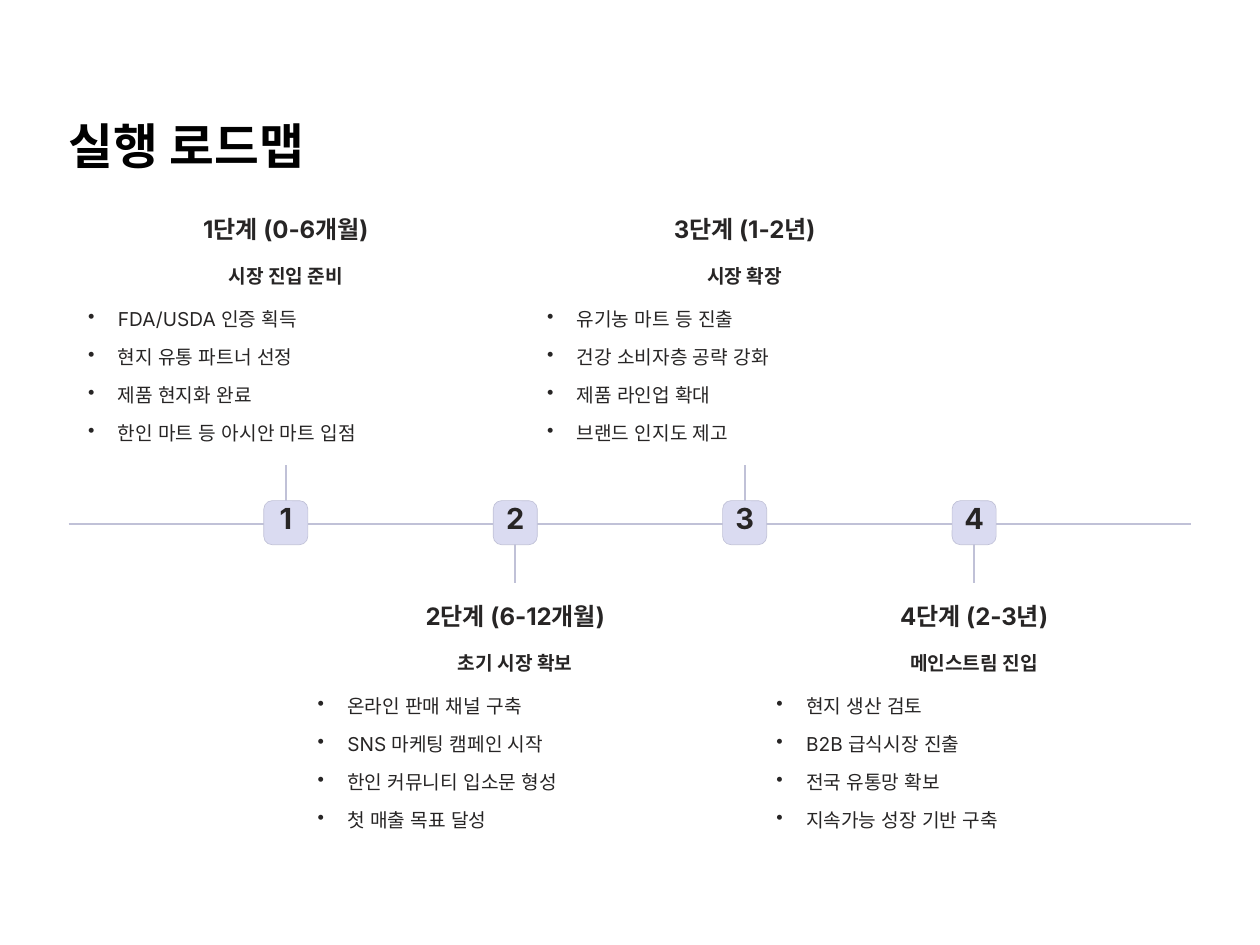
import pptx
import pptx.dml.color
import pptx.enum.shapes
import pptx.enum.text
import pptx.oxml
import pptx.oxml.ns
import pptx.util

Cm = pptx.util.Cm
Pt = pptx.util.Pt
ALIGN = pptx.enum.text.PP_ALIGN

COLORS = {
    "background": "FFFFFF",
    "title": "000000",
    "text": "272525",
    "line": "C0C1D7",
    "badge": "DADBF1",
}

STAGES = [
    ("1단계 (0-6개월)", "시장 진입 준비",
     ["FDA/USDA 인증 획득", "현지 유통 파트너 선정", "제품 현지화 완료",
      "한인 마트 등 아시안 마트 입점"]),
    ("2단계 (6-12개월)", "초기 시장 확보",
     ["온라인 판매 채널 구축", "SNS 마케팅 캠페인 시작", "한인 커뮤니티 입소문 형성",
      "첫 매출 목표 달성"]),
    ("3단계 (1-2년)", "시장 확장",
     ["유기농 마트 등 진출", "건강 소비자층 공략 강화", "제품 라인업 확대",
      "브랜드 인지도 제고"]),
    ("4단계 (2-3년)", "메인스트림 진입",
     ["현지 생산 검토", "B2B 급식시장 진출", "전국 유통망 확보",
      "지속가능 성장 기반 구축"]),
]

# All lengths in centimetres
AXIS_LEFT, AXIS_RIGHT, AXIS_Y = 2.21, 38.43, 16.9
FIRST_CENTER, STAGE_STEP = 9.22, 7.4
STEM_LENGTH = 1.9
BADGE_SIZE, BADGE_TOP = 1.42, 16.15
TEXT_WIDTH = 12.75
UPPER_TOP, LOWER_TOP = 6.88, 19.37
THEME_OFFSET, TASKS_OFFSET = 1.38, 2.77


class RoadmapSlide:
    font = "Inter"

    def __init__(self, presentation):
        self.slide = presentation.slides.add_slide(presentation.slide_layouts[5])
        background = self.slide.background.fill
        background.solid()
        background.fore_color.rgb = self.color("background")

    def color(self, name):
        return pptx.dml.color.RGBColor.from_string(COLORS[name])

    def fill_text(self, frame, lines, size, spacing, color="text", bold=True,
                  align=ALIGN.CENTER, inset_top=0):
        """Fill a text frame with one paragraph per line, in a single style."""
        frame.word_wrap = True
        frame.auto_size = pptx.enum.text.MSO_AUTO_SIZE.NONE
        frame.vertical_anchor = pptx.enum.text.MSO_ANCHOR.TOP
        frame.margin_left = frame.margin_right = frame.margin_bottom = 0
        frame.margin_top = Cm(inset_top)
        frame.text = "\n".join(lines)
        for paragraph in frame.paragraphs:
            paragraph.alignment = align
            paragraph.line_spacing = Pt(spacing)
            for run in paragraph.runs:
                run.font.name = self.font
                run.font.size = Pt(size)
                run.font.bold = bold
                run.font.color.rgb = self.color(color)
                east_asian = pptx.oxml.parse_xml(
                    f'<a:ea {pptx.oxml.ns.nsdecls("a")} typeface="{self.font}"/>')
                run.font._element.find(pptx.oxml.ns.qn("a:latin")).addnext(east_asian)

    def title(self, text, left, top, width, height):
        title = self.slide.shapes.title
        title.left, title.top = Cm(left), Cm(top)
        title.width, title.height = Cm(width), Cm(height)
        self.fill_text(title.text_frame, [text], 44.5, 55.5, "title", align=ALIGN.LEFT)

    def text(self, lines, left, top, width, height, size, spacing, **style):
        box = self.slide.shapes.add_textbox(Cm(left), Cm(top), Cm(width), Cm(height))
        self.fill_text(box.text_frame, lines, size, spacing, **style)
        return box.text_frame

    def bullets(self, lines, left, top, width, height):
        frame = self.text(lines, left, top, width, height, 17.5, 28.5,
                          bold=False, align=ALIGN.LEFT)
        for index, paragraph in enumerate(frame.paragraphs):
            if index:
                paragraph.space_before = Pt(6.3)
            properties = paragraph._p.get_or_add_pPr()
            properties.set("marL", str(Cm(0.96)))
            properties.set("indent", str(-Cm(0.96)))
            properties.append(pptx.oxml.parse_xml(
                f'<a:buChar {pptx.oxml.ns.nsdecls("a")} char="•"/>'))

    def line(self, x1, y1, x2, y2):
        line = self.slide.shapes.add_connector(
            pptx.enum.shapes.MSO_CONNECTOR.STRAIGHT, Cm(x1), Cm(y1), Cm(x2), Cm(y2))
        line.line.color.rgb = self.color("line")
        line.line.width = Pt(2.2)
        line._element.spPr.append(pptx.oxml.parse_xml(
            f'<a:effectLst {pptx.oxml.ns.nsdecls("a")}/>'))

    def badge(self, number, center):
        badge = self.slide.shapes.add_shape(
            pptx.enum.shapes.MSO_SHAPE.ROUNDED_RECTANGLE,
            Cm(center - BADGE_SIZE / 2), Cm(BADGE_TOP), Cm(BADGE_SIZE), Cm(BADGE_SIZE))
        badge.adjustments[0] = 0.19
        badge.shadow.inherit = False
        badge.fill.solid()
        badge.fill.fore_color.rgb = self.color("badge")
        badge.line.color.rgb = self.color("line")
        badge.line.width = Pt(0.6)
        self.fill_text(badge.text_frame, [str(number)], 26.5, 26.5, inset_top=0.1)

    def stage(self, number, name, theme, tasks):
        """Draw one stage: odd numbers above the axis, even ones below."""
        above = number % 2 == 1
        center = FIRST_CENTER + (number - 1) * STAGE_STEP
        left = center - TEXT_WIDTH / 2
        top = UPPER_TOP if above else LOWER_TOP
        stem_end = AXIS_Y + (-STEM_LENGTH if above else STEM_LENGTH)
        self.line(center, AXIS_Y, center, stem_end)
        self.badge(number, center)
        self.text([name], left, top, TEXT_WIDTH, 0.99, 22, 27.5)
        self.text([theme], left, top + THEME_OFFSET, TEXT_WIDTH, 1.02, 17.5, 28.5)
        self.bullets(tasks, left, top + TASKS_OFFSET, TEXT_WIDTH, 4.7)


def main():
    presentation = pptx.Presentation()
    presentation.slide_width = Cm(40.64)
    presentation.slide_height = Cm(30.48)
    roadmap = RoadmapSlide(presentation)
    roadmap.title("실행 로드맵", AXIS_LEFT, 3.66, 15.75, 1.98)
    roadmap.line(AXIS_LEFT, AXIS_Y, AXIS_RIGHT, AXIS_Y)
    for number, (name, theme, tasks) in enumerate(STAGES, start=1):
        roadmap.stage(number, name, theme, tasks)
    presentation.save("out.pptx")


if __name__ == "__main__":
    main()
